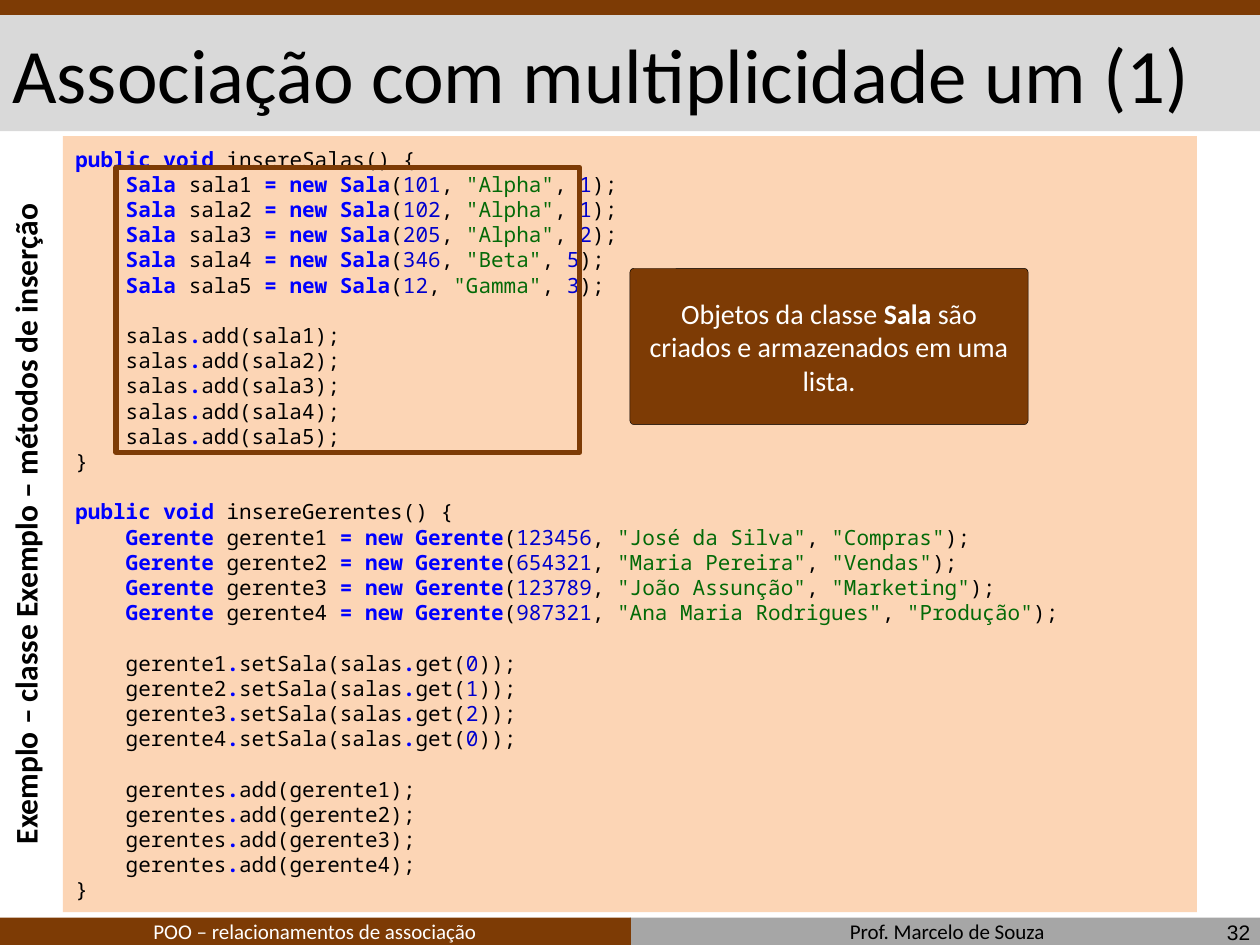
from pptx import Presentation
from pptx.dml.color import RGBColor
from pptx.enum.shapes import MSO_SHAPE
from pptx.enum.text import MSO_ANCHOR, PP_ALIGN
from pptx.util import Pt

BROWN, BLACK, WHITE = "7D3B05", "000000", "FFFFFF"
LINE_PITCH = 14.4
SYNTAX = {
    "plain": {"color": BLACK, "bold": False},
    "keyword": {"color": "0000FF", "bold": True},
    "number": {"color": "0000CD", "bold": False},
    "string": {"color": "036A07", "bold": False},
}
ROOMS = [(101, "Alpha", 1), (102, "Alpha", 1), (205, "Alpha", 2),
         (346, "Beta", 5), (12, "Gamma", 3)]
MANAGERS = [(123456, "José da Silva", "Compras"),
            (654321, "Maria Pereira", "Vendas"),
            (123789, "João Assunção", "Marketing"),
            (987321, "Ana Maria Rodrigues", "Produção")]
MANAGER_ROOMS = [0, 1, 2, 0]


def rgb(value):
    """Turn a hex string into a colour."""
    return RGBColor.from_string(value)


def add_span(para, text, color=BLACK, **font_format):
    """Add a run with the given colour and font values."""
    span = para.add_run()
    span.text = text
    span.font.color.rgb = rgb(color)
    for name, value in font_format.items():
        setattr(span.font, name, value)


def add_panel(page, frame, fill=None, line=None, weight=1, shape=MSO_SHAPE.RECTANGLE):
    """Add a flat shape with an optional fill and outline."""
    panel = page.shapes.add_shape(shape, *map(Pt, frame))
    panel.shadow.inherit = False
    if fill:
        panel.fill.solid()
        panel.fill.fore_color.rgb = rgb(fill)
    else:
        panel.fill.background()
    if line:
        panel.line.color.rgb = rgb(line)
        panel.line.width = Pt(weight)
    else:
        panel.line.fill.background()
    return panel


def add_label(page, frame, text, size, color=BLACK, align=PP_ALIGN.CENTER,
              anchor=MSO_ANCHOR.MIDDLE, font="Calibri", bold=False):
    """Add a text box with one paragraph."""
    box = page.shapes.add_textbox(*map(Pt, frame))
    box.text_frame.word_wrap = True
    box.text_frame.vertical_anchor = anchor
    para = box.text_frame.paragraphs[0]
    para.alignment = align
    add_span(para, text, color, size=Pt(size), name=font, bold=bold)
    return box


def method_header(name):
    """Return the spans that open a method."""
    return [("keyword", "public void "), ("plain", f"{name}() {{")]


def declaration(kind, name, arguments):
    """Return the spans that create an object."""
    spans = [("keyword", f"    {kind} "), ("plain", f"{name} "),
             ("keyword", f"= new {kind}"), ("plain", "(")]
    for index, argument in enumerate(arguments):
        if index:
            spans.append(("plain", ", "))
        if isinstance(argument, str):
            spans.append(("string", f'"{argument}"'))
        else:
            spans.append(("number", str(argument)))
    return spans + [("plain", ");")]


def call(target, text):
    """Return the spans that call a method."""
    return [("plain", f"    {target}"), ("keyword", "."), ("plain", text)]


def code_blocks():
    """Return the code as blocks of lines set apart by one empty line."""
    closing = [("plain", "}")]
    return [
        [method_header("insereSalas")]
        + [declaration("Sala", f"sala{i}", room) for i, room in enumerate(ROOMS, 1)],
        [call("salas", f"add(sala{i});") for i in range(1, len(ROOMS) + 1)] + [closing],
        [method_header("insereGerentes")]
        + [declaration("Gerente", f"gerente{i}", manager)
           for i, manager in enumerate(MANAGERS, 1)],
        [call(f"gerente{i}", "setSala(salas")
         + [("keyword", "."), ("plain", "get("), ("number", str(room)), ("plain", "));")]
         for i, room in enumerate(MANAGER_ROOMS, 1)],
        [call("gerentes", f"add(gerente{i});") for i in range(1, len(MANAGERS) + 1)]
        + [closing],
    ]


def add_code(page, frame, blocks):
    """Add the code panel with coloured syntax."""
    panel = add_panel(page, frame, "FCD5B5")
    text_frame = panel.text_frame
    text_frame.word_wrap = True
    text_frame.vertical_anchor = MSO_ANCHOR.MIDDLE
    para = text_frame.paragraphs[0]
    for block_index, block in enumerate(blocks):
        for line_index, spans in enumerate(block):
            if block_index or line_index:
                para = text_frame.add_paragraph()
            para.alignment = PP_ALIGN.LEFT
            para.line_spacing = Pt(LINE_PITCH)
            if block_index and not line_index:
                para.space_before = Pt(LINE_PITCH)
            for kind, text in spans:
                add_span(para, text, size=Pt(12), name="Noto Sans Mono", **SYNTAX[kind])


def add_callout(page, frame, spans):
    """Add the rounded note with (text, bold) spans."""
    callout = add_panel(page, frame, BROWN, BLACK, 0.25, MSO_SHAPE.ROUNDED_RECTANGLE)
    callout.adjustments[0] = 0.025
    callout.text_frame.word_wrap = True
    callout.text_frame.vertical_anchor = MSO_ANCHOR.MIDDLE
    para = callout.text_frame.paragraphs[0]
    para.alignment = PP_ALIGN.CENTER
    for text, bold in spans:
        add_span(para, text, WHITE, size=Pt(16), name="Calibri", bold=bold)


def main():
    """Build and save the slide."""
    deck = Presentation()
    deck.slide_width, deck.slide_height = Pt(720), Pt(540)
    page = deck.slides.add_slide(deck.slide_layouts[6])

    add_panel(page, (360, 524.4, 360.5, 17), "A6A6A6")
    add_panel(page, (0, 524.4, 360.5, 17), BROWN)
    add_panel(page, (0, 8, 720, 67), "D9D9D9")
    add_panel(page, (0, 0, 722, 8.5), BROWN)
    add_label(page, (360.5, 521.5, 361.5, 21.6), "Prof. Marcelo de Souza", 12,
              anchor=MSO_ANCHOR.BOTTOM)
    add_label(page, (0, 521.5, 360, 21.6), "POO – relacionamentos de associação", 12,
              WHITE, anchor=MSO_ANCHOR.BOTTOM)

    side_title = add_label(page, (126, -52.5, 452, 704),
                           "Exemplo – classe Exemplo – métodos de inserção", 18,
                           anchor=MSO_ANCHOR.TOP, bold=True)
    side_title.rotation = 270
    add_label(page, (0, 8.5, 720, 65.5), "Associação com multiplicidade um (1)", 44,
              align=PP_ALIGN.LEFT)
    add_label(page, (553.5, 520.5, 168, 24), "32", 12, align=PP_ALIGN.RIGHT, font="Arial")

    add_code(page, (36, 77.75, 648, 443.5), code_blocks())
    add_panel(page, (66.25, 95.75, 265, 162.75), line=BROWN, weight=3)
    add_callout(page, (360, 153.36, 227.5, 89.3),
                [("Objetos da classe ", False), ("Sala", True),
                 (" são criados e armazenados em uma lista.", False)])
    deck.save("out.pptx")


if __name__ == "__main__":
    main()
